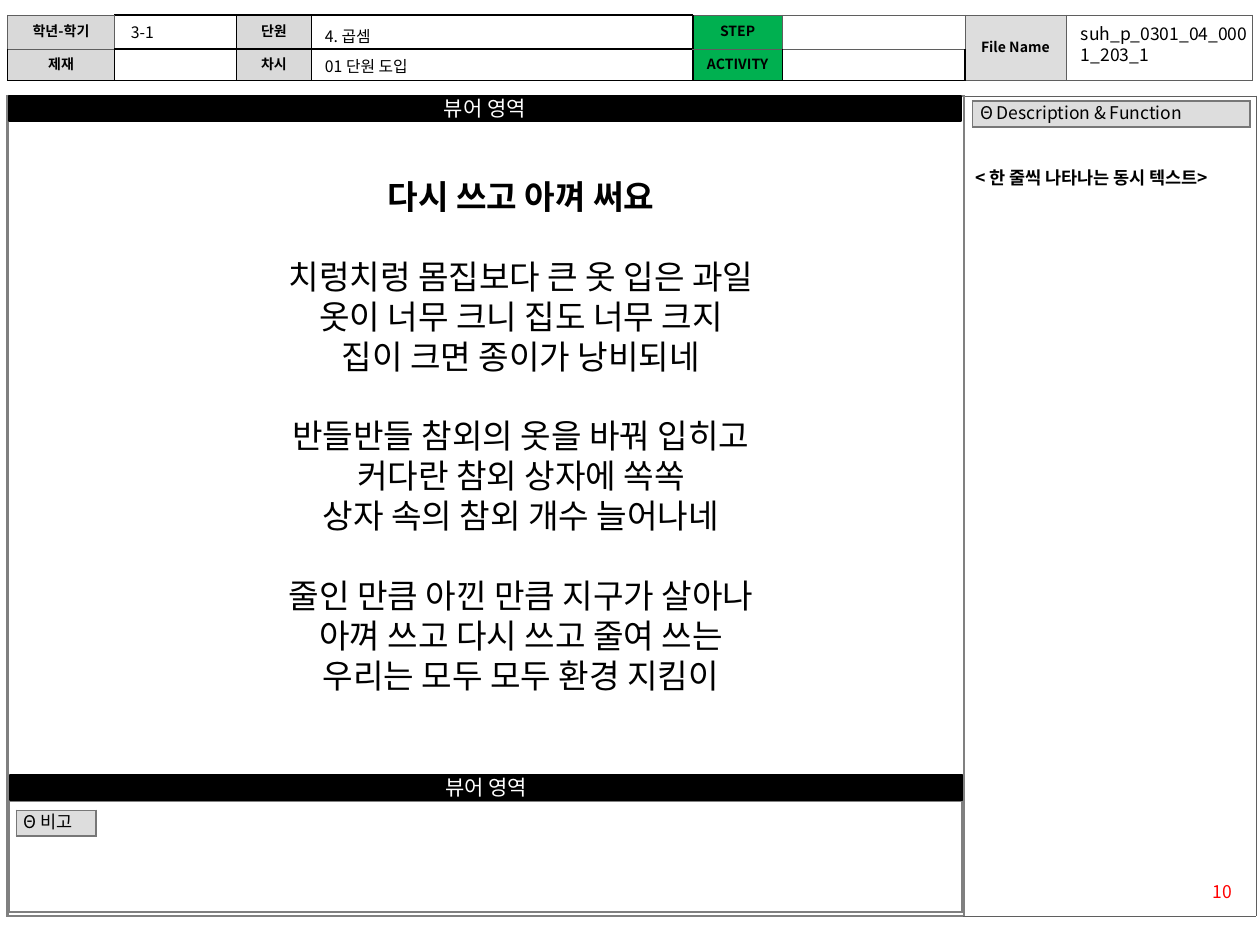
import lxml.etree
import pptx
import pptx.dml.color
import pptx.enum.shapes
import pptx.enum.text
import pptx.oxml.ns
import pptx.util

Pt = pptx.util.Pt
ALIGN = pptx.enum.text.PP_ALIGN
MIDDLE = pptx.enum.text.MSO_ANCHOR.MIDDLE
FONT = "Noto Sans CJK KR"
LEADING = 1.2
BLACK, GRAY = ("000000", 0.75), ("5F5F5F", 0.25)
FRAME, TAG_LINE = ("808080", 1.5), ("777777", 1)
POEM = [
    ["다시 쓰고 아껴 써요"],
    ["치렁치렁 몸집보다 큰 옷 입은 과일", "옷이 너무 크니 집도 너무 크지", "집이 크면 종이가 낭비되네"],
    ["반들반들 참외의 옷을 바꿔 입히고", "커다란 참외 상자에 쏙쏙", "상자 속의 참외 개수 늘어나네"],
    ["줄인 만큼 아낀 만큼 지구가 살아나", "아껴 쓰고 다시 쓰고 줄여 쓰는", "우리는 모두 모두 환경 지킴이"],
]
HEADER = [
    [("학년-학기", "D9D9D9", "LRTB"), ("", None, "L"), ("단원", "D9D9D9", ""), ("", None, ""),
     ("STEP", "00B050", "RTB"), ("", None, "LRTB"), ("File Name", "DDDDDD", "LRTB"), ("", None, "LRTB")],
    [("제재", "D9D9D9", "T"), ("", None, ""), ("차시", "D9D9D9", ""), ("", None, ""),
     ("ACTIVITY", "00B050", "T"), ("", None, "T"), ("", "DDDDDD", "RTB"), ("", None, "LRTB")],
]


def color(value):
    """Turn a hex string into a colour."""
    return pptx.dml.color.RGBColor.from_string(value)


def style(p, size, fill="000000", bold=False, align=ALIGN.LEFT):
    """Format a paragraph and its runs."""
    p.alignment = align
    p.line_spacing = Pt(round(size * LEADING, 2))
    for r in p.runs:
        r.font.size, r.font.bold, r.font.name = Pt(size), bold, FONT
        r.font.color.rgb = color(fill)
        ea = lxml.etree.SubElement(r._r.get_or_add_rPr(), pptx.oxml.ns.qn("a:ea"))
        ea.set("typeface", FONT)
    if not p.runs:
        p._p.get_or_add_endParaRPr().set("sz", str(size * 100))


def add_text(s, box, text, size, top_inset=3.6, **look):
    """Add a wrapping one-paragraph text box."""
    tf = s.shapes.add_textbox(*map(Pt, box)).text_frame
    tf.word_wrap = True
    tf.margin_top = Pt(top_inset)
    tf.text = text
    style(tf.paragraphs[0], size, **look)


def add_box(s, box, fill):
    """Add a plain filled rectangle without outline."""
    sp = s.shapes.add_shape(pptx.enum.shapes.MSO_SHAPE.RECTANGLE, *map(Pt, box))
    sp.shadow.inherit = False
    sp.fill.solid()
    sp.fill.fore_color.rgb = color(fill)
    sp.line.fill.background()
    sp.text_frame.word_wrap = True
    return sp


def add_bar(s, left, top):
    """Add a black bar that bounds the viewer area."""
    sp = add_box(s, (left, top, 544.3, 14.4), "000000")
    sp.line.color.rgb = color("000000")
    sp.line.width = Pt(1)
    tf = sp.text_frame
    tf.vertical_anchor = MIDDLE
    tf.text = "뷰어 영역"
    style(tf.paragraphs[0], 12, fill="FFFFFF", align=ALIGN.CENTER)


def add_poem(s, box, size):
    """Add the poem with one blank line's space before each stanza."""
    tf = add_box(s, box, "FFFFFF").text_frame
    tf.vertical_anchor = pptx.enum.text.MSO_ANCHOR.TOP
    tf.text = "\n".join(line for stanza in POEM for line in stanza)
    paragraphs = iter(tf.paragraphs)
    for i, stanza in enumerate(POEM):
        for j in range(len(stanza)):
            p = next(paragraphs)
            style(p, size, bold=i == 0, align=ALIGN.CENTER)
            if i and not j:
                p.space_before = Pt(size * LEADING)


def set_borders(cell, lines):
    """Draw cell borders from a map of side to (colour, width)."""
    tcPr = cell._tc.get_or_add_tcPr()
    for i, side in enumerate("LRTB"):
        value, width = lines[side]
        ln = lxml.etree.Element(pptx.oxml.ns.qn("a:ln" + side), w=str(int(Pt(width))))
        fill = lxml.etree.SubElement(ln, pptx.oxml.ns.qn("a:solidFill"))
        lxml.etree.SubElement(fill, pptx.oxml.ns.qn("a:srgbClr"), val=value)
        tcPr.insert(i, ln)


def set_cell(cell, text, fill, lines, size=8, inset=(7.2, 3.6), **look):
    """Fill in one table cell."""
    cell.margin_left = cell.margin_right = Pt(inset[0])
    cell.margin_top = cell.margin_bottom = Pt(inset[1])
    cell.vertical_anchor = MIDDLE
    if fill:
        cell.fill.solid()
        cell.fill.fore_color.rgb = color(fill)
    else:
        cell.fill.background()
    set_borders(cell, lines)
    cell.text_frame.text = text
    style(cell.text_frame.paragraphs[0], size, **look)


def add_grid(s, left, top, cols, rows):
    """Add an unbanded table with the given column widths and row heights."""
    frame = s.shapes.add_table(len(rows), len(cols), Pt(left), Pt(top), Pt(sum(cols)), Pt(sum(rows)))
    table = frame.table
    table.first_row = table.horz_banding = False
    for col, width in zip(table.columns, cols):
        col.width = Pt(width)
    for row, height in zip(table.rows, rows):
        row.height = Pt(height)
    return table


def add_header(s):
    """Add the lesson information table."""
    cols = [61.2, 69.8, 42.5, 218.2, 51.1, 104.4, 57.6, 106.6]
    table = add_grid(s, 4.3, 8.6, cols, [19.4, 18])
    for i, row in enumerate(HEADER):
        for j, (text, fill, gray) in enumerate(row):
            lines = {side: GRAY if side in gray else BLACK for side in "LRTB"}
            set_cell(table.cell(i, j), text, fill, lines, bold=True, align=ALIGN.CENTER)
    for j in (6, 7):
        table.cell(0, j).merge(table.cell(1, j))


def add_tag(s, left, top, width, height, text):
    """Add a gray section tag."""
    table = add_grid(s, left, top, [width], [height])
    set_cell(table.cell(0, 0), text, "DDDDDD", dict.fromkeys("LRTB", TAG_LINE), 10, (4.3, 1.4))


def add_frames(s):
    """Add the page frame and the remarks frame."""
    table = add_grid(s, 4.3, 54.7, [546.5, 167], [468.7])
    set_cell(table.cell(0, 0), "", None, dict.fromkeys("LRTB", FRAME))
    set_cell(table.cell(0, 1), "", None, {**dict.fromkeys("RTB", GRAY), "L": FRAME})
    table = add_grid(s, 5, 457.9, [545], [63.4])
    set_cell(table.cell(0, 0), "", None, dict.fromkeys("LRTB", FRAME))


def main():
    """Build the storyboard slide."""
    prs = pptx.Presentation()
    prs.slide_width, prs.slide_height = Pt(720), Pt(540)
    s = prs.slides.add_slide(prs.slide_layouts[6])
    add_frames(s)
    add_header(s)
    add_tag(s, 9.4, 463, 45.4, 14.4, "Θ 비고")
    add_text(s, (663, 499.7, 48.2, 19.4), "10", 10, fill="FF0000", align=ALIGN.RIGHT)
    add_bar(s, 5, 54.7)
    add_bar(s, 5.8, 442.8)
    add_tag(s, 555.8, 57.6, 158.4, 15.1, "Θ Description & Function")
    add_text(s, (610.6, 9.4, 109.4, 31.7), "suh_p_0301_04_0001_203_1", 10, align=ALIGN.JUSTIFY)
    add_text(s, (67.7, 9.4, 67.7, 17.3), "3-1", 9)
    add_text(s, (178.6, 28.8, 215.3, 17.3), "01 단원 도입", 9)
    add_text(s, (178.6, 11.5, 218.2, 11.5), "4. 곱셈", 9)
    add_poem(s, (102.2, 97.2, 391, 306.7), 19)
    add_text(s, (550.1, 77, 169.9, 49.7), "< 한 줄씩 나타나는 동시 텍스트>", 10, top_inset=18.6, bold=True)
    prs.save("out.pptx")


if __name__ == "__main__":
    main()
